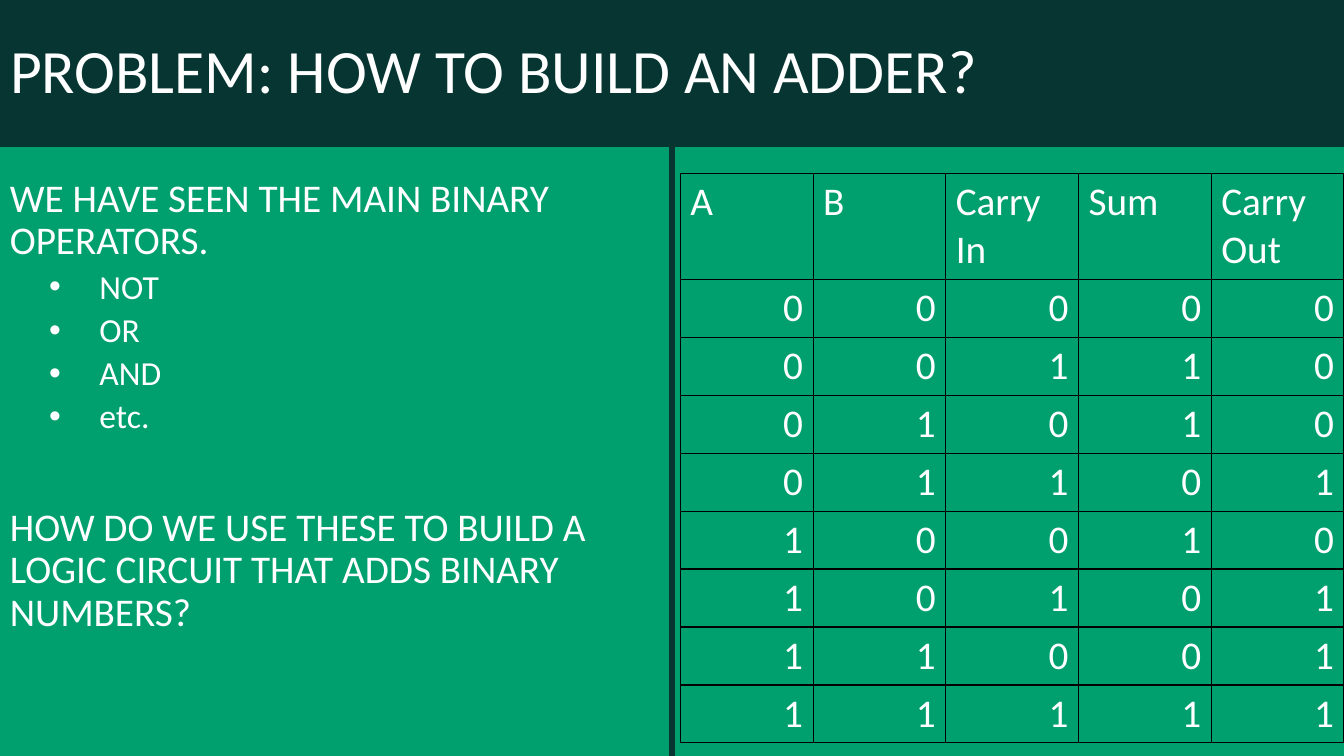
from dataclasses import dataclass
from itertools import product

from lxml.etree import SubElement
from pptx import Presentation
from pptx.dml.color import RGBColor
from pptx.enum.shapes import MSO_CONNECTOR as Connector
from pptx.enum.text import MSO_ANCHOR as Anchor, MSO_AUTO_SIZE as AutoSize, PP_ALIGN as Align
from pptx.oxml.ns import qn
from pptx.shapes.autoshape import Shape
from pptx.slide import Slide
from pptx.table import _Cell as Cell
from pptx.text.text import _Paragraph as Paragraph
from pptx.util import Pt

GREEN = RGBColor(0x00, 0xA0, 0x6E)
DARK = RGBColor(0x06, 0x35, 0x32)
WHITE = RGBColor(0xFF, 0xFF, 0xFF)
FONT = "Calibri"

WIDTH, HEIGHT = 960, 540
TITLE_HEIGHT = 104.4
CONTENT_TOP, CONTENT_WIDTH, CONTENT_HEIGHT = 124, 474, 401
TABLE_LEFT = WIDTH - CONTENT_WIDTH
HEADER_HEIGHT, ROW_HEIGHT = 75.6, 41.4


@dataclass
class BodyLine:
    text: str
    size: float = 28
    space_before: float = 0
    bullet: bool = False


OPERATORS = ["NOT", "OR", "AND", "etc."]
BODY = [
    BodyLine("WE HAVE SEEN THE MAIN BINARY OPERATORS."),
    *[BodyLine(name, size=24, space_before=5, bullet=True) for name in OPERATORS],
    BodyLine("HOW DO WE USE THESE TO BUILD A LOGIC CIRCUIT THAT ADDS BINARY NUMBERS?",
             space_before=51),
]
HEADERS = ["A", "B", "Carry In", "Sum", "Carry Out"]


def format_paragraph(paragraph: Paragraph, size: float, **formats) -> None:
    for name, value in formats.items():
        setattr(paragraph, name, value)
    for name, value in {"name": FONT, "size": Pt(size), "bold": False}.items():
        setattr(paragraph.font, name, value)
    paragraph.font.color.rgb = WHITE


def add_bullet(paragraph: Paragraph) -> None:
    properties = paragraph._p.get_or_add_pPr()
    properties.set("marL", str(Pt(64)))
    properties.set("indent", str(Pt(-36)))
    SubElement(properties, qn("a:buFont"), typeface="Arial")
    SubElement(properties, qn("a:buChar"), char="•")


def draw_title(slide: Slide, text: str) -> Shape:
    title = slide.shapes.title
    place = {"left": 0, "top": 0, "width": Pt(WIDTH), "height": Pt(TITLE_HEIGHT)}
    for name, value in place.items():
        setattr(title, name, value)
    title.fill.solid()
    title.fill.fore_color.rgb = DARK
    title.line.color.rgb = DARK
    title.line.width = Pt(0.75)
    frame = title.text_frame
    frame.text = text
    frame.auto_size = AutoSize.NONE
    frame.vertical_anchor = Anchor.MIDDLE
    format_paragraph(frame.paragraphs[0], 44, alignment=Align.LEFT, line_spacing=0.9)
    return title


def draw_divider(slide: Slide, title: Shape) -> None:
    middle = Pt(WIDTH / 2)
    divider = slide.shapes.add_connector(
        Connector.STRAIGHT, middle, Pt(TITLE_HEIGHT), middle, Pt(HEIGHT))
    divider.begin_connect(title, 2)
    divider.line.color.rgb = DARK
    divider.line.width = Pt(4)
    SubElement(divider._element.spPr, qn("a:effectLst"))


def draw_body(slide: Slide, lines: list[BodyLine]) -> None:
    box = slide.shapes.add_textbox(
        0, Pt(CONTENT_TOP), Pt(CONTENT_WIDTH), Pt(CONTENT_HEIGHT))
    frame = box.text_frame
    frame.word_wrap = True
    for index, line in enumerate(lines):
        paragraph = frame.add_paragraph() if index else frame.paragraphs[0]
        paragraph.text = line.text
        if line.bullet:
            add_bullet(paragraph)
        format_paragraph(paragraph, line.size, line_spacing=0.9,
                         space_before=Pt(line.space_before))


def format_cell(cell: Cell, text: str, alignment: Align) -> None:
    cell.text = text
    format_paragraph(cell.text_frame.paragraphs[0], 28, alignment=alignment)
    properties = cell._tc.get_or_add_tcPr()
    for side in ("lnL", "lnR", "lnT", "lnB"):
        border = SubElement(properties, qn(f"a:{side}"), w=str(Pt(1)))
        SubElement(SubElement(border, qn("a:solidFill")), qn("a:srgbClr"), val="000000")
    cell.fill.background()


def draw_truth_table(slide: Slide) -> None:
    # A full adder: the low bit is the sum, the high bit is the carry
    rows = [HEADERS]
    for bits in product((0, 1), repeat=3):
        carry, low = divmod(sum(bits), 2)
        rows.append([str(bit) for bit in (*bits, low, carry)])

    table = slide.shapes.add_table(
        len(rows), len(HEADERS), Pt(TABLE_LEFT), Pt(CONTENT_TOP),
        Pt(CONTENT_WIDTH), Pt(CONTENT_HEIGHT)).table
    table.first_row = table.horz_banding = False
    for column in table.columns:
        column.width = Pt(CONTENT_WIDTH / len(HEADERS))
    for row_index, values in enumerate(rows):
        table.rows[row_index].height = Pt(ROW_HEIGHT if row_index else HEADER_HEIGHT)
        for column_index, value in enumerate(values):
            format_cell(table.cell(row_index, column_index), value,
                        Align.RIGHT if row_index else Align.LEFT)


def main() -> None:
    presentation = Presentation()
    presentation.slide_width, presentation.slide_height = Pt(WIDTH), Pt(HEIGHT)
    slide = presentation.slides.add_slide(presentation.slide_layouts[5])
    slide.background.fill.solid()
    slide.background.fill.fore_color.rgb = GREEN

    # Title band and the line between the two halves
    title = draw_title(slide, "PROBLEM: HOW TO BUILD AN ADDER?")
    draw_divider(slide, title)

    # Question on the left, truth table on the right
    draw_body(slide, BODY)
    draw_truth_table(slide)
    presentation.save("out.pptx")


if __name__ == "__main__":
    main()
